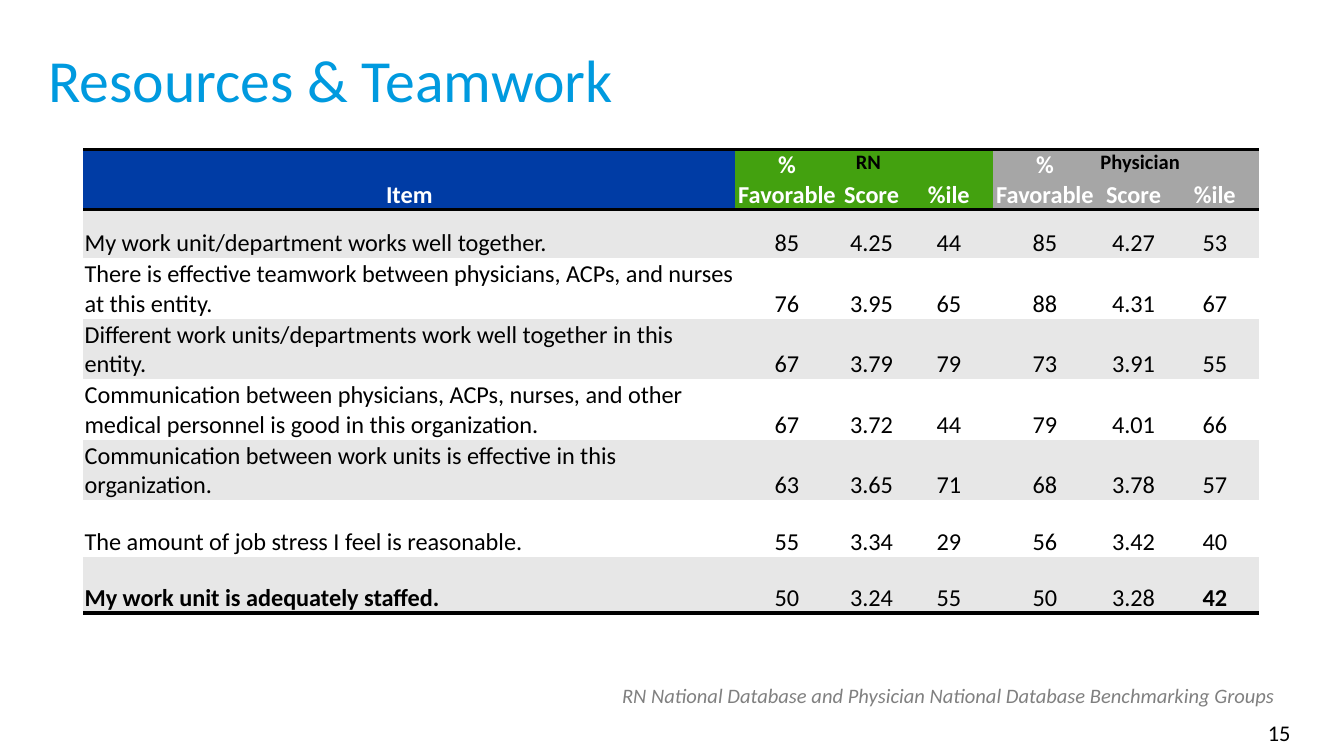
"""Build the Resources & Teamwork survey results slide."""
from lxml import etree
from pptx import Presentation
from pptx.dml.color import RGBColor
from pptx.enum.text import MSO_ANCHOR, PP_ALIGN
from pptx.oxml.ns import qn
from pptx.util import Inches, Pt

LEFT, CENTER, RIGHT = PP_ALIGN.LEFT, PP_ALIGN.CENTER, PP_ALIGN.RIGHT
TOP, BOTTOM = MSO_ANCHOR.TOP, MSO_ANCHOR.BOTTOM
FONT = "Calibri"
NO_GRID_STYLE = "{2D5ABB26-0587-4C30-8999-92F81FD0307C}"
COLORS = {
    "title": "009ADF", "item": "003CA5", "rn": "43A10F", "physician": "A6A6A6",
    "band": "E7E7E7", "white": "FFFFFF", "black": "000000", "note": "808080",
}


def write(frame, text, size, color, align=LEFT, bold=False, italic=False):
    paragraph = frame.paragraphs[0]
    paragraph.alignment = align
    run = paragraph.add_run()
    run.text = text
    run.font.name = FONT
    run.font.size = Pt(size)
    run.font.bold = bold
    run.font.italic = italic
    run.font.color.rgb = RGBColor.from_string(COLORS[color])


def add_rule(cell, side):
    properties = cell._tc.get_or_add_tcPr()
    line = etree.Element(qn(f"a:{side}"), w=str(Pt(2)))
    fill = etree.SubElement(line, qn("a:solidFill"))
    etree.SubElement(fill, qn("a:srgbClr"), val=COLORS["black"])
    properties.insert(0, line)


prs = Presentation()
prs.slide_width, prs.slide_height = Inches(10), Inches(10 * 9 / 16)
slide = prs.slides.add_slide(prs.slide_layouts[5])

title = slide.shapes.title
title.left, title.top = Inches(0.26), Inches(0.27)
title.width, title.height = Inches(9.64), Inches(0.72)
title.text_frame.vertical_anchor = TOP
write(title.text_frame, "Resources & Teamwork", 32, "title")

measures = ["% Favorable", "Score", "%ile"]
results = [
    ["Item"] + measures * 2,
    ["My work unit/department works well together.",
     "85", "4.25", "44", "85", "4.27", "53"],
    ["There is effective teamwork between physicians, ACPs, and nurses at this entity.",
     "76", "3.95", "65", "88", "4.31", "67"],
    ["Different work units/departments work well together in this entity.",
     "67", "3.79", "79", "73", "3.91", "55"],
    ["Communication between physicians, ACPs, nurses, and other medical personnel "
     "is good in this organization.",
     "67", "3.72", "44", "79", "4.01", "66"],
    ["Communication between work units is effective in this organization.",
     "63", "3.65", "71", "68", "3.78", "57"],
    ["The amount of job stress I feel is reasonable.",
     "55", "3.34", "29", "56", "3.42", "40"],
    ["My work unit is adequately staffed.",
     "50", "3.24", "55", "50", "3.28", "42"],
]
column_widths = [4.85, 0.77, 0.49, 0.66, 0.77, 0.55, 0.66]
row_heights = [0.45, 0.36, 0.45, 0.45, 0.45, 0.45, 0.42, 0.42]
header_fills = ["item"] + ["rn"] * 3 + ["physician"] * 3
last_row, last_column = len(results) - 1, len(column_widths) - 1

survey = slide.shapes.add_table(
    len(results), len(column_widths), Inches(0.62), Inches(1.11),
    Inches(sum(column_widths)), Inches(sum(row_heights))).table
survey.first_row = survey.horz_banding = False
survey._tbl.tblPr.find(qn("a:tableStyleId")).text = NO_GRID_STYLE
for column, width in zip(survey.columns, column_widths):
    column.width = Inches(width)

for r, values in enumerate(results):
    survey.rows[r].height = Inches(row_heights[r])
    for c, value in enumerate(values):
        cell = survey.cell(r, c)
        cell.margin_left = cell.margin_right = cell.margin_top = Inches(0.01)
        cell.margin_bottom = 0
        cell.vertical_anchor = BOTTOM
        header = r == 0
        fill = header_fills[c] if header else "band" if r % 2 else "white"
        cell.fill.solid()
        cell.fill.fore_color.rgb = RGBColor.from_string(COLORS[fill])
        write(cell.text_frame, value, 13, "white" if header else "black",
              CENTER if header or c else LEFT,
              bold=header or (r == last_row and c in (0, last_column)))
        if r in (0, last_row):
            add_rule(cell, "lnB")
        if header:
            add_rule(cell, "lnT")

labels = [
    ("RN", 6.27, 1.06, 0.48, 0.29, 11, "black", LEFT, True, False),
    ("Physician", 8.09, 1.06, 0.8, 0.29, 11, "black", LEFT, True, False),
    ("RN National Database and Physician National Database Benchmarking Groups",
     4.53, 5.03, 5.22, 0.29, 11, "note", LEFT, False, True),
    ("15", 8.48, 5.3, 1.22, 0.3, 12, "black", RIGHT, False, False),
]
for text, left, top, width, height, *style in labels:
    label = slide.shapes.add_textbox(
        Inches(left), Inches(top), Inches(width), Inches(height))
    label.text_frame.word_wrap = True
    write(label.text_frame, text, *style)

prs.save("out.pptx")
